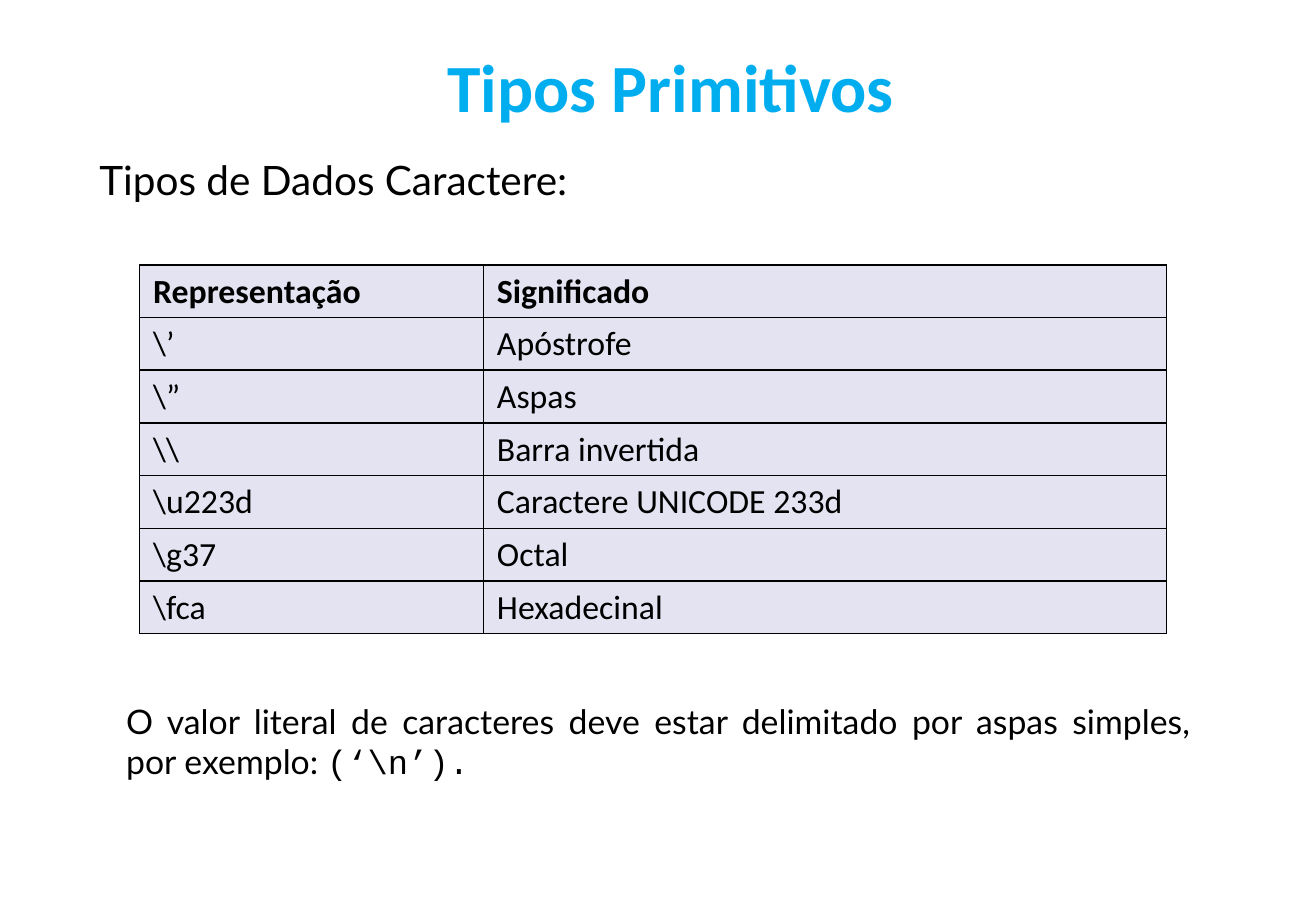
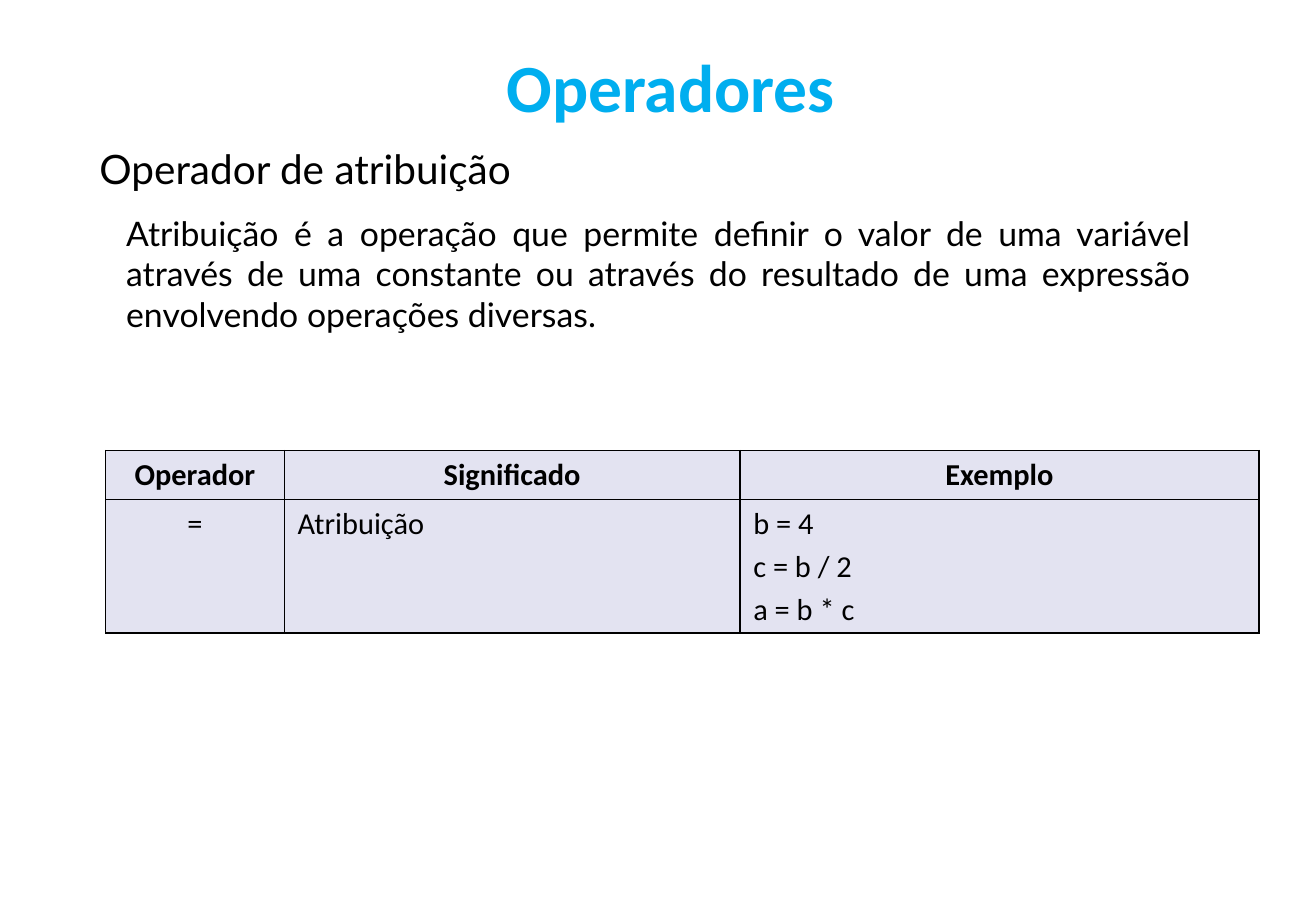
import pptx
import pptx.dml.color
import pptx.enum.text
import pptx.oxml
import pptx.oxml.ns
import pptx.util

Inches = pptx.util.Inches
Pt = pptx.util.Pt
RGBColor = pptx.dml.color.RGBColor
ALIGN = pptx.enum.text.PP_ALIGN
ANCHOR = pptx.enum.text.MSO_ANCHOR

CYAN = RGBColor(0x00, 0xAE, 0xEF)
BLACK = RGBColor(0x00, 0x00, 0x00)
LAVENDER = RGBColor(0xE3, 0xE3, 0xF1)

TITLE_FONT = TABLE_FONT = "Calibri"
TEXT_FONT = "Lato"
CODE_FONT = "Courier New"

TITLE_BOX = (0.56, 0.28, 9.92, 0.85)
TEXT_WIDTH = 8.96
HEADING_LEFT, HEADING_HEIGHT = 0.72, 0.5
BODY_LEFT = 0.94


def format_font(font, name, size, color=BLACK, bold=False):
    font.name = name
    font.size = Pt(size)
    font.bold = bold
    font.color.rgb = color


def add_titled_slide(presentation, title):
    slide = presentation.slides.add_slide(presentation.slide_layouts.get_by_name("Title Only"))
    shape = slide.shapes.title
    shape.left, shape.top, shape.width, shape.height = map(Inches, TITLE_BOX)
    shape.text_frame.text = title
    shape.text_frame.vertical_anchor = ANCHOR.MIDDLE
    paragraph = shape.text_frame.paragraphs[0]
    paragraph.alignment = ALIGN.CENTER
    format_font(paragraph.font, TITLE_FONT, 40, CYAN, bold=True)
    return slide


def add_text(slide, box, text, size, alignment):
    """Add a one-paragraph text box and return its paragraph."""
    frame = slide.shapes.add_textbox(*map(Inches, box)).text_frame
    frame.word_wrap = True
    paragraph = frame.paragraphs[0]
    paragraph.text = text
    paragraph.alignment = alignment
    format_font(paragraph.font, TEXT_FONT, size)
    return paragraph


def add_heading(slide, top, text):
    add_text(slide, (HEADING_LEFT, top, TEXT_WIDTH, HEADING_HEIGHT), text, 24, ALIGN.LEFT)


def add_body(slide, top, height, text):
    return add_text(slide, (BODY_LEFT, top, TEXT_WIDTH, height), text, 20, ALIGN.JUSTIFY)


def add_borders(cell):
    properties = cell._tc.get_or_add_tcPr()
    for index, side in enumerate(("lnL", "lnR", "lnT", "lnB")):
        properties.insert(index, pptx.oxml.parse_xml(
            f'<a:{side} {pptx.oxml.ns.nsdecls("a")} w="{Pt(1)}">'
            f'<a:solidFill><a:srgbClr val="{BLACK}"/></a:solidFill></a:{side}>'))


def fill_cell(cell, text, size, bold, alignment):
    cell.fill.solid()
    cell.fill.fore_color.rgb = LAVENDER
    add_borders(cell)
    cell.margin_left = cell.margin_right = Inches(0.11)
    cell.margin_top = cell.margin_bottom = Inches(0.05)
    cell.text = text
    for index, paragraph in enumerate(cell.text_frame.paragraphs):
        paragraph.alignment = alignment
        if index:
            paragraph.space_before = Pt(0.2 * size)
        format_font(paragraph.font, TABLE_FONT, size, bold=bold)


def add_grid(slide, left, top, widths, heights, rows, size, centred=lambda row, column: False):
    """Add a bordered table whose first row is bold."""
    table = slide.shapes.add_table(
        len(rows), len(widths), Inches(left), Inches(top),
        Inches(sum(widths)), Inches(sum(heights))).table
    table.first_row = table.horz_banding = False
    for column, width in zip(table.columns, widths):
        column.width = Inches(width)
    for row, height in zip(table.rows, heights):
        row.height = Inches(height)
    for row, texts in enumerate(rows):
        for column, text in enumerate(texts):
            alignment = ALIGN.CENTER if centred(row, column) else ALIGN.LEFT
            fill_cell(table.cell(row, column), text, size, row == 0, alignment)


def build_character_slide(presentation):
    slide = add_titled_slide(presentation, "Tipos Primitivos")
    add_heading(slide, 1.23, "Tipos de Dados Caractere:")
    rows = [
        ("Representação", "Significado"),
        ("\\’", "Apóstrofe"),
        ("\\”", "Aspas"),
        ("\\\\", "Barra invertida"),
        ("\\u223d", "Caractere UNICODE 233d"),
        ("\\g37", "Octal"),
        ("\\fca", "Hexadecinal"),
    ]
    add_grid(slide, 1.15, 2.18, (2.83, 5.62), [0.43] * len(rows), rows, 20)
    paragraph = add_body(
        slide, 5.72, 0.77,
        "O valor literal de caracteres deve estar delimitado por aspas simples, por exemplo: ")
    code = paragraph.add_run()
    code.text = "(‘\\n’)."
    code.font.name = CODE_FONT


def build_assignment_slide(presentation):
    slide = add_titled_slide(presentation, "Operadores")
    add_heading(slide, 1.14, "Operador de atribuição")
    add_body(
        slide, 1.7, 1.1,
        "Atribuição é a operação que permite definir o valor de uma variável através de uma "
        "constante ou através do resultado de uma expressão envolvendo operações diversas.")
    rows = [
        ("Operador", "Significado", "Exemplo"),
        ("=", "Atribuição", "b = 4\nc = b / 2\na = b * c"),
    ]
    add_grid(slide, 0.87, 3.71, (1.47, 3.75, 4.27), (0.4, 1.1), rows, 18,
             centred=lambda row, column: row == 0 or column == 0)


def main():
    presentation = pptx.Presentation()
    presentation.slide_width = Inches(10.83)
    presentation.slide_height = Inches(7.5)
    build_character_slide(presentation)
    build_assignment_slide(presentation)
    presentation.save("out.pptx")


if __name__ == "__main__":
    main()
